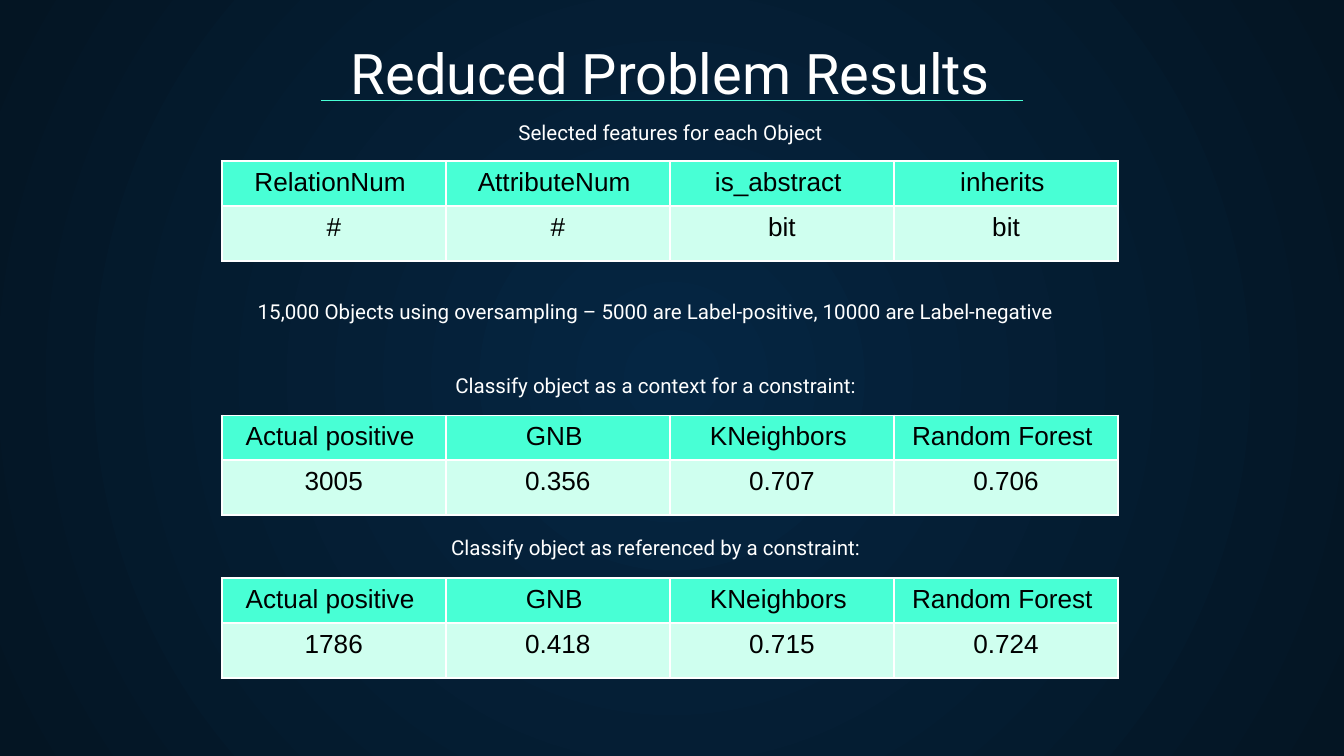
from lxml.etree import SubElement
from pptx import Presentation
from pptx.dml.color import RGBColor
from pptx.enum.shapes import MSO_CONNECTOR
from pptx.enum.text import MSO_ANCHOR, PP_ALIGN
from pptx.oxml.ns import qn
from pptx.util import Inches, Pt

COLORS = {
    "center": "052643",
    "edge": "041523",
    "accent": "48FFD5",
    "pale": "CFFFEF",
    "light": "FFFFFF",
    "dark": "000000",
}


class ResultsSlide:
    """Builds the elements of one slide in a shared style."""

    heading_font = "Roboto"
    table_font = "Arial"

    def __init__(self, presentation):
        self.slide = presentation.slides.add_slide(presentation.slide_layouts[6])

    def color(self, name):
        return RGBColor.from_string(COLORS[name])

    def style(self, paragraph, font, size, color):
        paragraph.alignment = PP_ALIGN.CENTER
        paragraph.font.name = font
        paragraph.font.size = Pt(size)
        paragraph.font.color.rgb = self.color(color)

    def background(self):
        fill = self.slide.background.fill
        fill.gradient()
        for stop, position, name in zip(fill.gradient_stops, (0, 1), ("center", "edge")):
            stop.position = position
            stop.color.rgb = self.color(name)
        gradient = self.slide.element.find(".//" + qn("a:gradFill"))
        gradient.remove(gradient.find(qn("a:lin")))
        circle = SubElement(gradient, qn("a:path"), path="circle")
        SubElement(circle, qn("a:fillToRect"), l="50000", t="50000", r="50000", b="50000")

    def text(self, words, left, top, width, height, size=11, anchor=MSO_ANCHOR.TOP):
        box = self.slide.shapes.add_textbox(
            Inches(left), Inches(top), Inches(width), Inches(height))
        frame = box.text_frame
        frame.word_wrap = True
        frame.vertical_anchor = anchor
        frame.margin_left = frame.margin_right = Inches(0.1)
        frame.margin_top = frame.margin_bottom = Inches(0.1)
        frame.text = words
        self.style(frame.paragraphs[0], self.heading_font, size, "light")

    def rule(self, left, right, top):
        rule = self.slide.shapes.add_connector(
            MSO_CONNECTOR.STRAIGHT, Inches(left), Inches(top), Inches(right), Inches(top))
        rule.line.color.rgb = self.color("accent")
        rule.line.width = Pt(0.75)
        SubElement(rule._element.spPr, qn("a:effectLst"))

    def border(self, cell, side, width):
        line = SubElement(cell._tc.get_or_add_tcPr(), qn(f"a:ln{side}"), w=str(Pt(width)))
        SubElement(SubElement(line, qn("a:solidFill")), qn("a:srgbClr"), val=COLORS["light"])

    def table(self, top, rows, left=1.65, width=6.67, heights=(0.31, 0.41)):
        table = self.slide.shapes.add_table(
            len(rows), len(rows[0]), Inches(left), Inches(top),
            Inches(width), Inches(sum(heights))).table
        for r, (values, height, fill) in enumerate(zip(rows, heights, ("accent", "pale"))):
            table.rows[r].height = Inches(height)
            for c, value in enumerate(values):
                cell = table.cell(r, c)
                cell.text = value
                self.style(cell.text_frame.paragraphs[0], self.table_font, 14, "dark")
                for side in "LRTB":
                    self.border(cell, side, 1)
                cell.fill.solid()
                cell.fill.fore_color.rgb = self.color(fill)


presentation = Presentation()
presentation.slide_width = Inches(10)
presentation.slide_height = presentation.slide_width * 9 // 16

results = ResultsSlide(presentation)
results.background()
results.text("Reduced Problem Results", 0.33, 0.23, 9.32, 0.66, 30, MSO_ANCHOR.BOTTOM)
results.text("Selected features for each Object", 3.69, 0.8, 2.6, 0.31)
results.rule(2.39, 7.61, 0.75)

captions = [
    (2.13, "15,000 Objects using oversampling – 5000 are Label-positive, "
           "10000 are Label-negative"),
    (2.68, "Classify object as a context for a constraint:"),
    (3.89, "Classify object as referenced by a constraint:"),
]
for top, caption in captions:
    results.text(caption, 0.94, top, 7.88, 0.36)

features = ["RelationNum ", "AttributeNum ", "is_abstract ", "inherits "]
classifiers = ["Actual positive ", "GNB ", "KNeighbors ", "Random Forest "]
results.table(1.2, [features, ["#", "#", "bit", "bit"]])
results.table(3.09, [classifiers, ["3005", "0.356", "0.707", "0.706"]])
results.table(4.3, [classifiers, ["1786", "0.418", "0.715", "0.724"]])

presentation.save("out.pptx")
